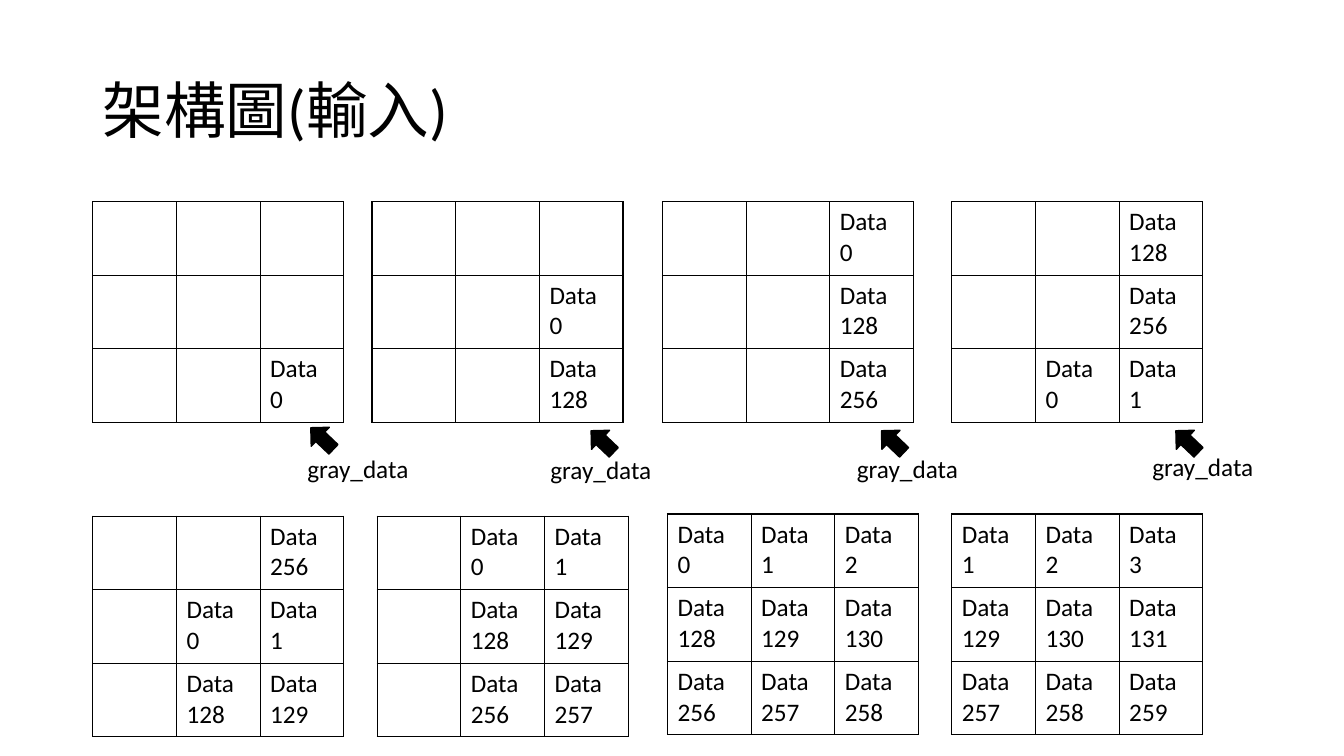
import pptx
import pptx.util
import pptx.dml.color
import pptx.enum.shapes
import pptx.enum.text
import pptx.oxml
from pptx.oxml.ns import nsdecls

BLACK = pptx.dml.color.RGBColor(0, 0, 0)
WHITE = pptx.dml.color.RGBColor(255, 255, 255)
FONT = "Calibri"
SIDE = 3  # cells along each side of the window
CELL_WIDTH, CELL_HEIGHT = 0.83, 0.73

# Pixels enter column by column: 0, 128, 256, 1, 129, 257, ...
PIXELS = [column + 128 * row for column in range(4) for row in range(SIDE)]

# Pixels received so far, left and top of each window
WINDOWS = [
    (1, 0.92, 2), (2, 3.69, 2), (3, 6.57, 2), (4, 9.44, 2),
    (5, 0.92, 5.12), (6, 3.74, 5.12), (9, 6.62, 5.1), (12, 9.44, 5.1),
]
# Arrow left and top, label left and top
INPUTS = [
    (3.04, 4.22, 2.95, 4.45), (5.82, 4.25, 5.36, 4.46),
    (8.7, 4.25, 8.4, 4.45), (11.62, 4.25, 11.33, 4.43),
]


def inches(*lengths):
    return [pptx.util.Inches(length) for length in lengths]


def style(paragraph, size):
    paragraph.font.name = FONT
    paragraph.font.size = pptx.util.Pt(size)
    paragraph.font.color.rgb = BLACK


def add_text(slide, box, text, size, wrap):
    frame = slide.shapes.add_textbox(*inches(*box)).text_frame
    frame.word_wrap = wrap
    frame.text = text
    style(frame.paragraphs[0], size)
    return frame


def add_title(slide, box):
    title = add_text(slide, box, "架構圖(輸入)", 44, True)
    title.vertical_anchor = pptx.enum.text.MSO_ANCHOR.MIDDLE
    title.paragraphs[0].line_spacing = 0.9


def add_borders(cell):
    properties = cell._tc.get_or_add_tcPr()
    for position, edge in enumerate(("lnL", "lnR", "lnT", "lnB")):
        properties.insert(position, pptx.oxml.parse_xml(
            f'<a:{edge} {nsdecls("a")} w="12700"><a:solidFill>'
            f'<a:srgbClr val="{BLACK}"/></a:solidFill></a:{edge}>'))


def add_window(slide, left, top, received):
    """Show the latest nine pixels, the newest at the bottom right."""
    count = SIDE * SIDE
    latest = ([None] * count + PIXELS[:received])[-count:]
    table = slide.shapes.add_table(SIDE, SIDE, *inches(
        left, top, SIDE * CELL_WIDTH, SIDE * CELL_HEIGHT)).table
    table.first_row = table.horz_banding = False
    for position, pixel in enumerate(latest):
        column, row = divmod(position, SIDE)
        cell = table.cell(row, column)
        cell.fill.solid()
        cell.fill.fore_color.rgb = WHITE
        add_borders(cell)
        if pixel is not None:
            cell.text = f"Data\n{pixel}"
        for paragraph in cell.text_frame.paragraphs:
            style(paragraph, 18)


def add_input(slide, arrow_left, arrow_top, label_left, label_top):
    arrow = slide.shapes.add_shape(
        pptx.enum.shapes.MSO_SHAPE.RIGHT_ARROW,
        *inches(arrow_left, arrow_top, 0.31, 0.26))
    arrow.rotation = 223.6
    arrow.shadow.inherit = False
    arrow.fill.solid()
    arrow.fill.fore_color.rgb = BLACK
    arrow.line.color.rgb = BLACK
    arrow.line.width = pptx.util.Pt(1)
    add_text(slide, (label_left, label_top, 1.21, 0.4), "gray_data", 18, False)


def main():
    presentation = pptx.Presentation()
    presentation.slide_width, presentation.slide_height = inches(13.33, 7.5)
    slide = presentation.slides.add_slide(presentation.slide_layouts[6])

    add_title(slide, (0.92, 0.4, 11.5, 1.45))
    # Window contents as the pixels arrive
    for received, left, top in WINDOWS:
        add_window(slide, left, top, received)
    # Input arrows under the upper row
    for places in INPUTS:
        add_input(slide, *places)

    presentation.save("out.pptx")


if __name__ == "__main__":
    main()
